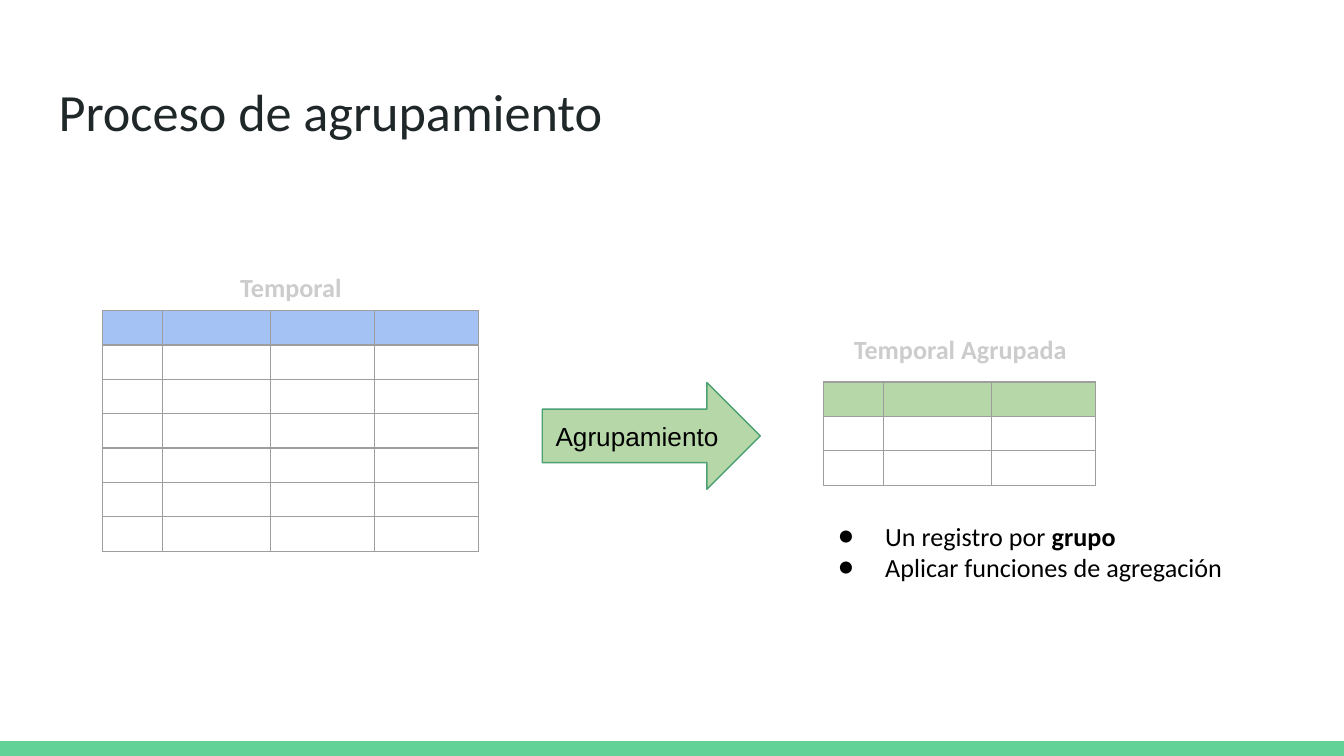
from lxml import etree
from pptx import Presentation
from pptx.dml.color import RGBColor
from pptx.enum.shapes import MSO_SHAPE
from pptx.enum.text import MSO_ANCHOR, PP_ALIGN
from pptx.oxml.ns import qn
from pptx.util import Cm, Pt

RECTANGLE, RIGHT_ARROW = MSO_SHAPE.RECTANGLE, MSO_SHAPE.RIGHT_ARROW
TOP, MIDDLE = MSO_ANCHOR.TOP, MSO_ANCHOR.MIDDLE
LEFT, CENTER = PP_ALIGN.LEFT, PP_ALIGN.CENTER

THEME = {
    "font": "Calibri", "arrow_font": "Arial",
    "title_size": 28, "body_size": 14, "cell_size": 6, "line_width": 0.75,
    "title": "202729", "body": "000000", "caption": "CCCCCC",
    "footer": "63D297", "grid": "9E9E9E",
    "source_header": "A4C2F4", "grouped": "B6D7A8", "arrow_line": "4BA173",
}
SLIDE_SIZE = (25.4, 14.29)
FOOTER_HEIGHT = 0.28
ROW_HEIGHT = 0.65
COLUMN_WIDTHS = (1.13, 2.04, 1.97, 1.97)

TITLE = ("Proceso de agrupamiento", (0.86, 1.24, 23.67, 1.6))
ARROW = ("Agrupamiento", (10.25, 7.23, 4.12, 2.02))
TABLES = [
    {"caption": "Temporal", "caption_box": (3.0, 4.8, 5.0, 1.07),
     "corner": (1.94, 5.87), "rows": 7, "columns": 4, "header": "source_header"},
    {"caption": "Temporal Agrupada", "caption_box": (15.65, 5.97, 5.0, 1.07),
     "corner": (15.57, 7.22), "rows": 3, "columns": 3, "header": "grouped"},
]
NOTES = [
    [("Un registro por ", False), ("grupo", True)],
    [("Aplicar funciones de agregación", False)],
]
NOTES_BOX = (15.21, 9.58, 9.32, 1.7)


def color(key):
    """Return the theme colour stored under a key."""
    return RGBColor.from_string(THEME[key])


def lengths(values):
    """Turn centimetre values into lengths."""
    return [Cm(value) for value in values]


def add_run(paragraph, text, ink="body", size="body_size", font="font", bold=False):
    """Append one styled run to a paragraph."""
    run = paragraph.add_run()
    run.text = text
    run.font.name = THEME[font]
    run.font.size = Pt(THEME[size])
    run.font.bold = bold
    run.font.color.rgb = color(ink)


def prepare_frame(shape, anchor=TOP):
    """Give a shape's text frame its insets, wrapping and anchor."""
    frame = shape.text_frame
    frame.word_wrap = True
    frame.vertical_anchor = anchor
    frame.margin_left = frame.margin_right = Cm(0.25)
    frame.margin_top = frame.margin_bottom = Cm(0.25)
    return frame


def add_text_box(slide, box):
    """Add an empty text box and return its frame."""
    return prepare_frame(slide.shapes.add_textbox(*lengths(box)))


def add_block(slide, kind, box, fill, line=None):
    """Add a filled preset shape with an optional outline."""
    block = slide.shapes.add_shape(kind, *lengths(box))
    block.shadow.inherit = False
    block.fill.solid()
    block.fill.fore_color.rgb = color(fill)
    if line:
        block.line.color.rgb = color(line)
        block.line.width = Pt(THEME["line_width"])
    else:
        block.line.fill.background()
    return block


def style_cell(cell, fill):
    """Set borders, fill and compact spacing of an empty cell."""
    cell.margin_top = cell.margin_bottom = 0
    properties = cell._tc.get_or_add_tcPr()
    for side in ("lnL", "lnR", "lnT", "lnB"):
        border = etree.SubElement(properties, qn(f"a:{side}"), w=str(Pt(THEME["line_width"])))
        solid = etree.SubElement(border, qn("a:solidFill"))
        etree.SubElement(solid, qn("a:srgbClr"), val=THEME["grid"])
    if fill:
        cell.fill.solid()
        cell.fill.fore_color.rgb = color(fill)
    else:
        cell.fill.background()
    paragraph = cell.text_frame.paragraphs[0]._p
    etree.SubElement(paragraph, qn("a:endParaRPr"), sz=str(THEME["cell_size"] * 100))


def add_grid(slide, corner, rows, columns, header):
    """Add an empty table with a coloured header row."""
    widths = COLUMN_WIDTHS[:columns]
    box = (*corner, sum(widths), rows * ROW_HEIGHT)
    table = slide.shapes.add_table(rows, columns, *lengths(box)).table
    table.first_row = table.horz_banding = False
    for column, width in zip(table.columns, widths):
        column.width = Cm(width)
    for index, row in enumerate(table.rows):
        row.height = Cm(ROW_HEIGHT)
        for cell in row.cells:
            style_cell(cell, None if index else header)


def add_caption(slide, text, box):
    """Add a centred table caption."""
    paragraph = add_text_box(slide, box).paragraphs[0]
    paragraph.alignment = CENTER
    paragraph.line_spacing = 1.15
    paragraph.space_after = Pt(16)
    add_run(paragraph, text, "caption", bold=True)


def add_bullet(paragraph):
    """Give a paragraph a round bullet and hanging indent."""
    properties = paragraph._p.get_or_add_pPr()
    properties.set("marL", str(Cm(1.27)))
    properties.set("indent", str(-Cm(0.89)))
    tint = etree.SubElement(properties, qn("a:buClr"))
    etree.SubElement(tint, qn("a:srgbClr"), val=THEME["body"])
    etree.SubElement(properties, qn("a:buFont"), typeface=THEME["font"])
    etree.SubElement(properties, qn("a:buChar"), char="●")


def main():
    """Build and save the grouping process slide."""
    deck = Presentation()
    deck.slide_width, deck.slide_height = lengths(SLIDE_SIZE)
    slide = deck.slides.add_slide(deck.slide_layouts[6])

    width, height = SLIDE_SIZE
    add_block(slide, RECTANGLE, (0, height - FOOTER_HEIGHT, width, FOOTER_HEIGHT), "footer")

    title, title_box = TITLE
    add_run(add_text_box(slide, title_box).paragraphs[0], title, "title", "title_size")

    for entry in TABLES:
        add_grid(slide, entry["corner"], entry["rows"], entry["columns"], entry["header"])
        add_caption(slide, entry["caption"], entry["caption_box"])

    step, arrow_box = ARROW
    arrow = add_block(slide, RIGHT_ARROW, arrow_box, "grouped", "arrow_line")
    label = prepare_frame(arrow, MIDDLE).paragraphs[0]
    label.alignment = LEFT
    add_run(label, step, font="arrow_font")

    notes = add_text_box(slide, NOTES_BOX)
    for index, note in enumerate(NOTES):
        paragraph = notes.add_paragraph() if index else notes.paragraphs[0]
        add_bullet(paragraph)
        for text, bold in note:
            add_run(paragraph, text, bold=bold)

    deck.save("out.pptx")


if __name__ == "__main__":
    main()
